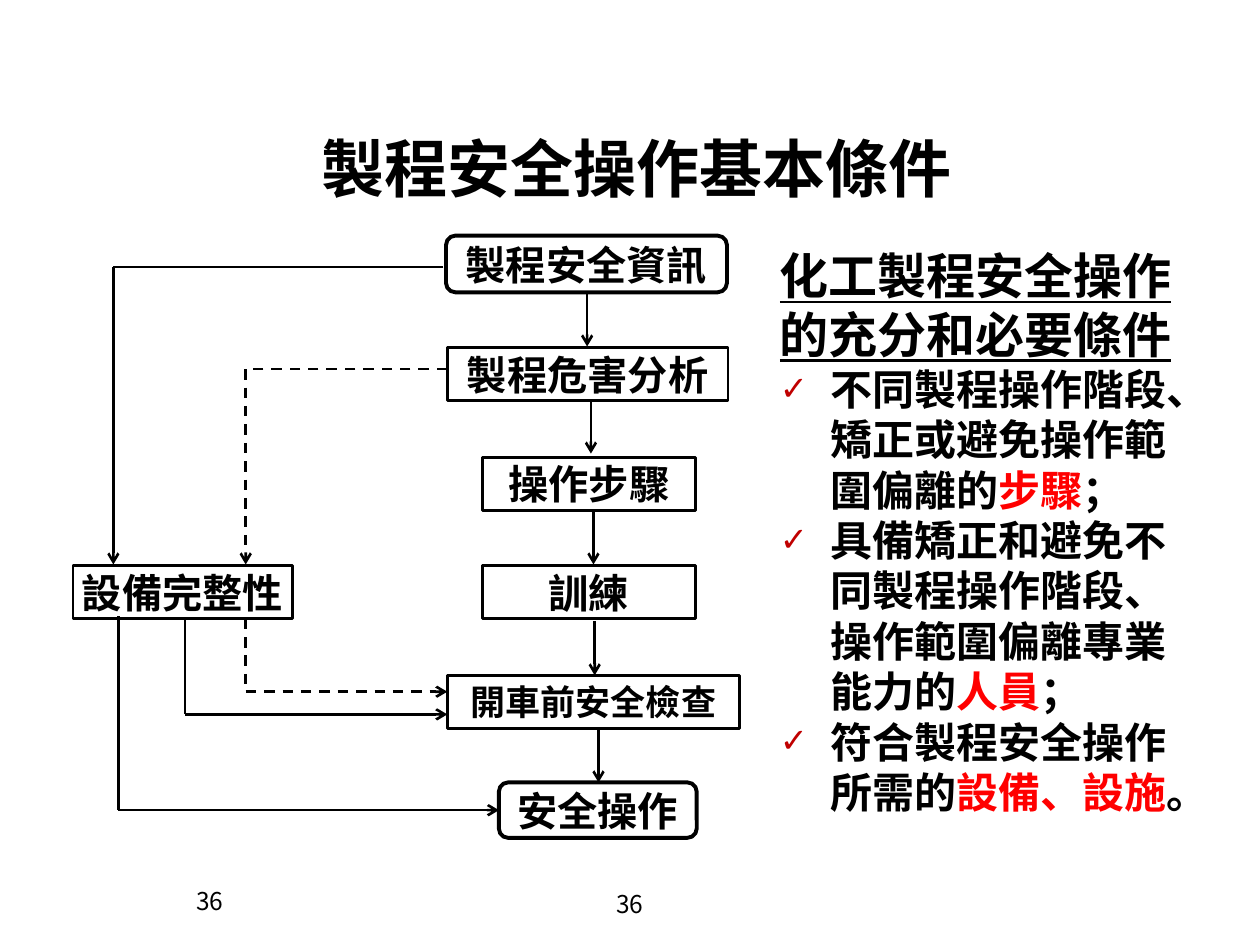
from itertools import pairwise

from lxml.etree import SubElement
from pptx import Presentation
from pptx.dml.color import RGBColor
from pptx.enum.dml import MSO_LINE
from pptx.enum.shapes import MSO_CONNECTOR, MSO_SHAPE
from pptx.enum.text import MSO_ANCHOR, MSO_AUTO_SIZE, PP_ALIGN
from pptx.oxml.ns import qn
from pptx.util import Inches, Pt

BLACK = RGBColor(0x00, 0x00, 0x00)
RED = RGBColor(0xFF, 0x00, 0x00)
CHECK_RED = RGBColor(0xC0, 0x00, 0x00)
SANS = "Noto Sans CJK SC"
PAGE_FONT = "Noto Sans CJK TC"
TITLE_FONT = "Times New Roman"

STEPS = [
    ("製程安全資訊", 2.96, 0, 2.23, 0.45, 23, True),
    ("製程危害分析", 2.97, 0.89, 2.23, 0.42, 23, False),
    ("操作步驟", 3.25, 1.76, 1.69, 0.42, 23, False),
    ("訓練", 3.25, 2.62, 1.69, 0.42, 23, False),
    ("開車前安全檢查", 2.97, 3.49, 2.32, 0.42, 20, False),
    ("安全操作", 3.38, 4.34, 1.57, 0.44, 23, True),
    ("設備完整性", 0, 2.62, 1.74, 0.42, 23, False),
]
ROUTES = [
    ([(4.08, 0.46), (4.08, 0.88)], False),
    ([(4.11, 1.31), (4.11, 1.73)], False),
    ([(4.13, 2.19), (4.13, 2.61)], False),
    ([(4.14, 3.06), (4.14, 3.49)], False),
    ([(4.17, 3.92), (4.17, 4.34)], False),
    ([(2.94, 0.25), (0.32, 0.25), (0.32, 2.61)], False),
    ([(2.97, 1.06), (1.37, 1.06), (1.37, 2.61)], True),
    ([(1.37, 3.04), (1.37, 3.62), (2.97, 3.62)], True),
    ([(0.89, 3.04), (0.89, 3.8), (2.97, 3.8)], False),
    ([(0.36, 3.02), (0.36, 4.56), (3.38, 4.56)], False),
]
CONDITIONS = [
    ("不同製程操作階段、矯正或避免操作範圍偏離的", "步驟", "；"),
    ("具備矯正和避免不同製程操作階段、操作範圍偏離專業能力的", "人員", "；"),
    ("符合製程安全操作所需的", "設備、設施", "。"),
]


def format_run(run, size, color=BLACK, bold=True, latin=SANS, east_asian=SANS):
    """Set the size, colour, weight and both typefaces of a run."""
    run.font.size = Pt(size)
    run.font.bold = bold
    run.font.color.rgb = color
    run.font.name = latin
    SubElement(run.font._element, qn("a:ea"), typeface=east_asian)


def place(shape, left, top, width, height):
    """Move and size a shape in inches."""
    shape.left, shape.top = Inches(left), Inches(top)
    shape.width, shape.height = Inches(width), Inches(height)


def add_title(slide, left, top, width, height):
    """Fill the title placeholder."""
    title = slide.shapes.title
    place(title, left, top, width, height)
    frame = title.text_frame
    frame.text = "製程安全操作基本條件"
    frame.auto_size = MSO_AUTO_SIZE.NONE
    frame.vertical_anchor = MSO_ANCHOR.MIDDLE
    frame.paragraphs[0].alignment = PP_ALIGN.CENTER
    format_run(frame.paragraphs[0].runs[0], 36, latin=TITLE_FONT)


def add_step(slide, text, left, top, width, height, size, rounded):
    """Draw one labelled step of the flow chart."""
    kind = MSO_SHAPE.ROUNDED_RECTANGLE if rounded else MSO_SHAPE.RECTANGLE
    step = slide.shapes.add_shape(
        kind, Inches(left), Inches(top), Inches(width), Inches(height))
    step.shadow.inherit = False
    step.fill.background()
    step.line.color.rgb = BLACK
    step.line.width = Pt(2.25 if rounded else 1.5)
    frame = step.text_frame
    frame.margin_left = frame.margin_right = 0
    frame.margin_top = frame.margin_bottom = 0
    frame.word_wrap = False
    frame.vertical_anchor = MSO_ANCHOR.MIDDLE
    frame.text = text
    frame.paragraphs[0].alignment = PP_ALIGN.CENTER
    format_run(frame.paragraphs[0].runs[0], size)


def add_route(slide, points, dashed):
    """Join points with straight lines and end in an arrowhead."""
    for start, end in pairwise(points):
        connector = slide.shapes.add_connector(
            MSO_CONNECTOR.STRAIGHT, *map(Inches, start + end))
        connector.line.color.rgb = BLACK
        connector.line.width = Pt(1.5)
        if dashed:
            connector.line.dash_style = MSO_LINE.DASH
        properties = connector._element.spPr
        if end == points[-1]:
            SubElement(properties.find(qn("a:ln")), qn("a:tailEnd"), type="arrow")
        SubElement(properties, qn("a:effectLst"))


def add_flow_chart(slide, left, top):
    """Draw the steps and routes from the given corner."""
    for points, dashed in ROUTES:
        add_route(slide, [(left + x, top + y) for x, y in points], dashed)
    for text, x, y, width, height, size, rounded in STEPS:
        add_step(slide, text, left + x, top + y, width, height, size, rounded)


def set_bullet(paragraph):
    """Give a paragraph a hanging red check mark."""
    indent = Inches(0.4)
    properties = paragraph._p.get_or_add_pPr()
    properties.set("marL", str(indent))
    properties.set("indent", str(-indent))
    color = SubElement(properties, qn("a:buClr"))
    SubElement(color, qn("a:srgbClr"), val=str(CHECK_RED))
    SubElement(properties, qn("a:buSzPct"), val="80000")
    SubElement(properties, qn("a:buChar"), char="✓")


def add_conditions(slide, left, top, width, height):
    """Fill the body placeholder with the heading and the conditions."""
    body = slide.placeholders[1]
    place(body, left, top, width, height)
    frame = body.text_frame
    frame.auto_size = MSO_AUTO_SIZE.NONE
    frame.vertical_anchor = MSO_ANCHOR.TOP
    frame.margin_top = Inches(0.09)
    frame.text = "化工製程安全操作的充分和必要條件"
    heading = frame.paragraphs[0]
    properties = heading._p.get_or_add_pPr()
    properties.set("marL", "0")
    properties.set("indent", "0")
    SubElement(properties, qn("a:buNone"))
    heading.line_spacing = Pt(33.6)
    format_run(heading.runs[0], 28)
    heading.runs[0].font.underline = True
    for parts in CONDITIONS:
        paragraph = frame.add_paragraph()
        paragraph.level = 1
        set_bullet(paragraph)
        paragraph.line_spacing = Pt(28.8)
        for text, color in zip(parts, (BLACK, RED, BLACK)):
            run = paragraph.add_run()
            run.text = text
            format_run(run, 24, color)
    for paragraph in frame.paragraphs:
        paragraph.alignment = PP_ALIGN.LEFT
        paragraph.space_before = Pt(0)


def add_page_number(slide, left, top, width, height):
    """Write the page number centred in a box."""
    box = slide.shapes.add_textbox(
        Inches(left), Inches(top), Inches(width), Inches(height))
    frame = box.text_frame
    frame.word_wrap = True
    frame.vertical_anchor = MSO_ANCHOR.MIDDLE
    frame.text = "36"
    frame.paragraphs[0].alignment = PP_ALIGN.CENTER
    format_run(frame.paragraphs[0].runs[0], 14, bold=False,
               latin=PAGE_FONT, east_asian=PAGE_FONT)


def main():
    """Build and save the slide."""
    presentation = Presentation()
    presentation.slide_width, presentation.slide_height = Inches(10), Inches(7.5)
    slide = presentation.slides.add_slide(presentation.slide_layouts[1])
    add_title(slide, 0.94, 0.99, 8.23, 0.67)
    add_conditions(slide, 6.09, 1.86, 3.57, 4.68)
    add_flow_chart(slide, 0.58, 1.87)
    add_page_number(slide, 0.5, 6.95, 2.33, 0.4)
    add_page_number(slide, 3.96, 6.92, 2.08, 0.5)
    presentation.save("out.pptx")


if __name__ == "__main__":
    main()
